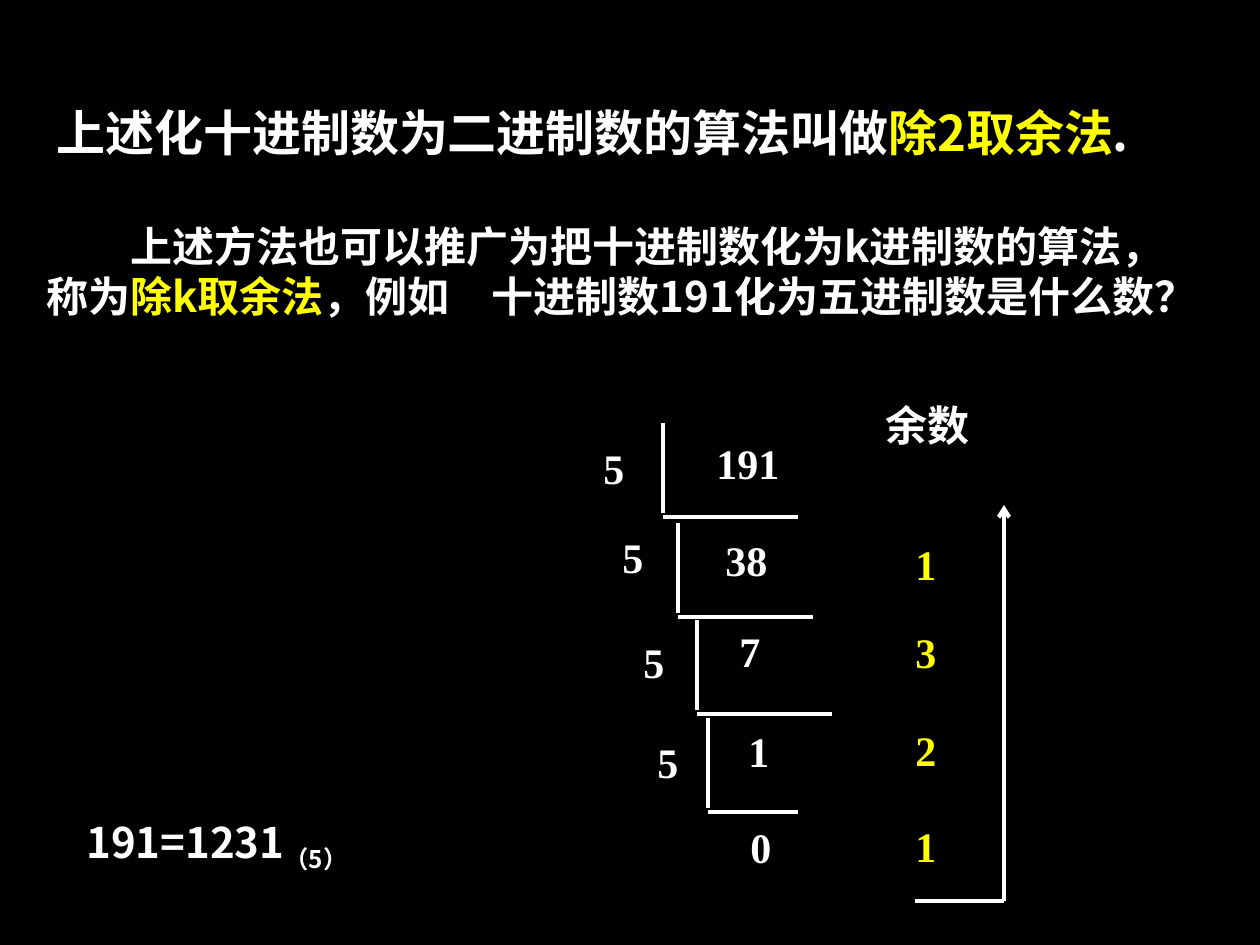
from dataclasses import dataclass

from lxml import etree
from pptx import Presentation
from pptx.dml.color import RGBColor
from pptx.enum.shapes import MSO_CONNECTOR
from pptx.enum.text import MSO_ANCHOR, MSO_AUTO_SIZE, PP_ALIGN
from pptx.oxml.ns import qn
from pptx.util import Emu, Pt

STRAIGHT = MSO_CONNECTOR.STRAIGHT
TOP = MSO_ANCHOR.TOP
LEFT = PP_ALIGN.LEFT
NO_FIT = MSO_AUTO_SIZE.NONE


@dataclass(frozen=True)
class Theme:
    background: RGBColor = RGBColor(0, 0, 0)
    plain: RGBColor = RGBColor(255, 255, 255)
    accent: RGBColor = RGBColor(255, 255, 0)
    heading_font: str = "Noto Sans CJK SC"
    figure_font: str = "Times New Roman"
    title_size: int = 28
    text_size: int = 24
    line_width: float = 2.25


THEME = Theme()
SLIDE_SIZE = (1260, 945)

HEADLINE = [
    ("上述化十进制数为二进制数的算法叫做", THEME.plain),
    ("除2取余法", THEME.accent),
    (".", THEME.plain),
]
EXPLANATION = [
    ("　　上述方法也可以推广为把十进制数化为k进制数的算法，称为", THEME.plain),
    ("除k取余法", THEME.accent),
    ("，例如　十进制数191化为五进制数是什么数？", THEME.plain),
]
ANSWER = [("191=1231", THEME.plain), ("（5）", THEME.plain)]

DIVISOR = "5"
DIVISIONS = [
    {"dividend": "191", "at": (704, 431, 110), "divisor_at": (591, 436), "corner": (663, 423), "right": 798},
    {"dividend": "38", "at": (713, 528, 107), "divisor_at": (610, 525), "corner": (678, 523), "right": 813},
    {"dividend": "7", "at": (727, 619, 87), "divisor_at": (631, 630), "corner": (697, 620), "right": 832},
    {"dividend": "1", "at": (736, 719, 80), "divisor_at": (645, 730), "corner": (708, 718), "right": 798},
]
LAST_QUOTIENT = ("0", (738, 815, 74))
REMAINDER_HEADING = ("余数", (873, 393, 180))
REMAINDERS = [("1", 532), ("3", 620), ("2", 718), ("1", 814)]

LABEL_HEIGHT = 74
DIVISOR_WIDTH = 67
REMAINDER_LEFT, REMAINDER_WIDTH = 903, 71
BRACKET_HEIGHT, UNDERLINE_DROP = 90, 94
READING_LEFT, READING_RIGHT = 915, 1004
READING_TOP, READING_BOTTOM = 505, 901


def px(length):
    return Emu(round(length * 914400 / 126))


def place(shape, left, top, width, height):
    shape.left, shape.top = px(left), px(top)
    shape.width, shape.height = px(width), px(height)


def write(shape, runs, size, font):
    frame = shape.text_frame
    frame.word_wrap = True
    frame.auto_size = NO_FIT
    frame.vertical_anchor = TOP
    paragraph = frame.paragraphs[0]
    paragraph.alignment = LEFT
    paragraph.space_before = Pt(0)
    for words, color in runs:
        run = paragraph.add_run()
        run.text = words
        run.font.color.rgb = color
        east_asian = etree.SubElement(run.font._element, qn("a:ea"))
        east_asian.set("typeface", THEME.heading_font)
    paragraph.font.name = font
    paragraph.font.size = Pt(size)
    paragraph.font.bold = True
    return paragraph


def add_text(slide, runs, left, top, width, height, font):
    box = slide.shapes.add_textbox(px(left), px(top), px(width), px(height))
    return write(box, runs, THEME.text_size, font)


def add_figure(slide, words, left, top, width, color=THEME.plain):
    add_text(slide, [(words, color)], left, top, width, LABEL_HEIGHT, THEME.figure_font)


def add_line(slide, start, end):
    line = slide.shapes.add_connector(STRAIGHT, *map(px, start + end))
    line.line.color.rgb = THEME.plain
    line.line.width = Pt(THEME.line_width)
    etree.SubElement(line._element.spPr, qn("a:effectLst"))
    return line


def add_divisions(slide):
    for division in DIVISIONS:
        left, top = division["corner"]
        underline = top + UNDERLINE_DROP
        add_figure(slide, DIVISOR, *division["divisor_at"], DIVISOR_WIDTH)
        add_figure(slide, division["dividend"], *division["at"])
        add_line(slide, (left, top), (left, top + BRACKET_HEIGHT))
        add_line(slide, (left, underline), (division["right"], underline))
    quotient, position = LAST_QUOTIENT
    add_figure(slide, quotient, *position)


def add_remainders(slide):
    heading, position = REMAINDER_HEADING
    add_figure(slide, heading, *position)
    for remainder, top in REMAINDERS:
        add_figure(slide, remainder, REMAINDER_LEFT, top, REMAINDER_WIDTH, THEME.accent)
    corner = (READING_RIGHT, READING_BOTTOM)
    add_line(slide, (READING_LEFT, READING_BOTTOM), corner)
    reading_order = add_line(slide, corner, (READING_RIGHT, READING_TOP))
    head = etree.SubElement(reading_order.line._get_or_add_ln(), qn("a:tailEnd"))
    head.set("type", "arrow")


def main():
    deck = Presentation()
    deck.slide_width, deck.slide_height = map(px, SLIDE_SIZE)
    slide = deck.slides.add_slide(deck.slide_layouts[1])
    slide.background.fill.solid()
    slide.background.fill.fore_color.rgb = THEME.background

    headline, explanation = slide.placeholders
    place(headline, 44, 96, 1142, 72)
    write(headline, HEADLINE, THEME.title_size, THEME.heading_font)

    place(explanation, 34, 214, 1181, 113)
    paragraph = write(explanation, EXPLANATION, THEME.text_size, THEME.heading_font)
    properties = paragraph._p.get_or_add_pPr()
    properties.set("marL", "0")
    properties.set("indent", "0")
    bullet = etree.Element(qn("a:buNone"))
    properties.find(qn("a:defRPr")).addprevious(bullet)

    add_divisions(slide)
    add_remainders(slide)

    answer = add_text(slide, ANSWER, 74, 810, 287, 121, THEME.heading_font)
    answer.runs[-1].font._element.set("baseline", "-25000")

    deck.save("out.pptx")


if __name__ == "__main__":
    main()
